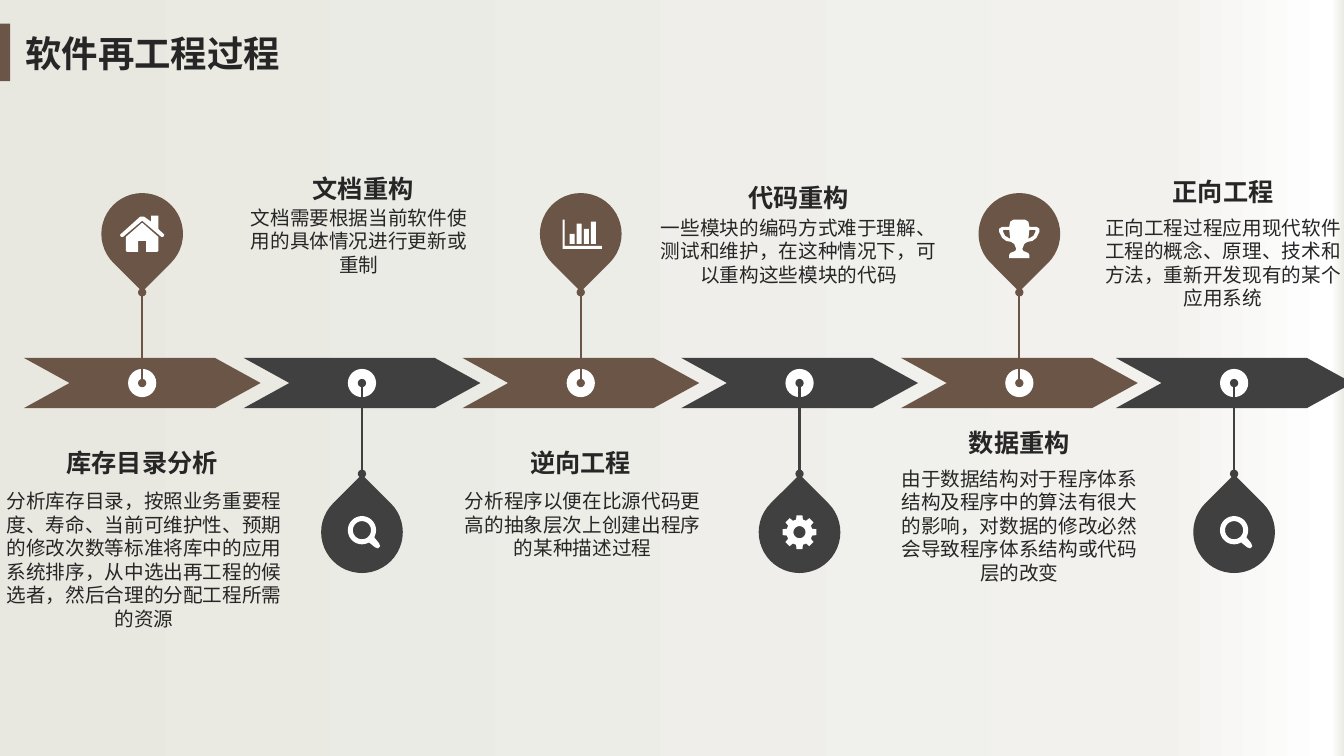
from math import cos, radians, sin

from lxml import etree
from pptx import Presentation
from pptx import util as u
from pptx.dml.color import RGBColor
from pptx.enum import shapes, text
from pptx.oxml.ns import qn

BROWN, DARK, WHITE, INK = "6A5546", "404040", "FFFFFF", "262626"
BACKDROP = [(0, "E8E8E1"), (86, "F2F1EE"), (99, "FFFFFF"), (100, "EBEBE5")]
ARROW_WIDTH, ARROW_HEIGHT, ARROW_MIDDLE = 2.35, 0.5, 3.8
DOT_SIZE, PIN_SIZE, LINE_HEIGHT = 0.28, 0.81, 0.235


def color(hex_code):
    return RGBColor.from_string(hex_code)


def write(box, words, size=14, bold=False, align=text.PP_ALIGN.CENTER, font="Noto Sans CJK SC"):
    frame = box.text_frame
    frame.word_wrap = True
    frame.vertical_anchor = text.MSO_ANCHOR.TOP
    para = frame.paragraphs[0]
    para.alignment = align
    span = para.add_run()
    span.text = words
    span.font.size, span.font.bold, span.font.name = u.Pt(size), bold, font
    span.font.color.rgb = color(INK)
    etree.SubElement(span.font._element, qn("a:ea"), typeface=font)


def arc(x, y, radius, start=0, end=360, step=10):
    return [(x + radius * cos(radians(a)), y + radius * sin(radians(a)))
            for a in range(start, end + 1, step)]


def mirror(points):
    return [(-x, y) for x, y in reversed(points)]


def block(left, top, right, bottom):
    return [(left, top), (right, top), (right, bottom), (left, bottom)]


def house():
    roof = [(0.21, 0.03), (0.19, 0.03), (0, -0.13), (-0.19, 0.03), (-0.21, 0.03),
            (-0.22, 0.01), (-0.02, -0.17), (0.02, -0.17), (0.09, -0.12), (0.09, -0.18),
            (0.16, -0.18), (0.16, -0.05), (0.22, 0.01)]
    half = [(0, -0.11), (0.16, 0.03), (0.16, 0.17), (0.15, 0.18), (0.04, 0.18), (0.04, 0.07)]
    return [roof, half + mirror(half)]


def bar_chart():
    axes = [(0.21, 0.15), (-0.18, 0.15), (-0.18, -0.14), (-0.16, -0.14), (-0.16, 0.12), (0.21, 0.12)]
    tops = [0, -0.1, -0.05, -0.12]
    return [axes] + [block(-0.11 + 0.07 * i, top, -0.06 + 0.07 * i, 0.1) for i, top in enumerate(tops)]


def trophy():
    half = [(0.06, -0.14), (0.09, -0.12), (0.1, -0.07), (0.17, -0.07), (0.2, -0.05),
            (0.2, -0.02), (0.17, 0.04), (0.13, 0.07), (0.08, 0.08), (0.05, 0.1),
            (0.03, 0.15), (0.04, 0.17), (0.09, 0.19), (0.1, 0.21), (0.1, 0.24)]
    handle = [(0.1, -0.04), (0.16, -0.04), (0.16, -0.02), (0.14, 0.02), (0.09, 0.05)]
    return [half + mirror(half), handle, mirror(handle)]


def gear():
    teeth = [(radius * cos(radians(a + turn)), radius * sin(radians(a + turn)))
             for a in range(0, 360, 45)
             for turn, radius in ((-15, 0.13), (-10, 0.17), (10, 0.17), (15, 0.13))]
    return [teeth, arc(0, 0, 0.06)]


def magnifier():
    grip = [(0.17, 0.11), (0.18, 0.14), (0.16, 0.16), (0.13, 0.15)]
    return [arc(0, -0.02, 0.14, 60, 390) + grip, arc(0, -0.02, 0.09)]


class Timeline:
    def __init__(self, deck):
        self.page = deck.slides.add_slide(deck.slide_layouts[5])
        self.items = self.page.shapes

    def backdrop(self, stops):
        fill = self.page.background.fill
        fill.gradient()
        fill.gradient_angle = 0
        stop_list = next(self.page._element.iter(qn("a:gsLst")))
        for old in list(stop_list):
            stop_list.remove(old)
        for percent, hex_code in stops:
            stop = etree.SubElement(stop_list, qn("a:gs"), pos=str(percent * 1000))
            etree.SubElement(stop, qn("a:srgbClr"), val=hex_code)

    def title(self, words):
        box = self.items.title
        box.left, box.top, box.width, box.height = map(u.Inches, (0.15, 0.26, 3.91, 0.54))
        write(box, words, size=26, bold=True, align=text.PP_ALIGN.LEFT)

    def paint(self, shape, fill):
        shape.shadow.inherit = False
        shape.fill.solid()
        shape.fill.fore_color.rgb = color(fill)
        shape.line.fill.background()

    def shape(self, kind, center, middle, width, height, fill):
        shape = self.items.add_shape(kind, u.Inches(center - width / 2), u.Inches(middle - height / 2),
                                     u.Inches(width), u.Inches(height))
        self.paint(shape, fill)
        return shape

    def arrow(self, center, fill):
        arrow = self.shape(shapes.MSO_SHAPE.NOTCHED_RIGHT_ARROW, center, ARROW_MIDDLE,
                           ARROW_WIDTH, ARROW_HEIGHT, fill)
        arrow.adjustments[0], arrow.adjustments[1] = 1, 0.91
        self.shape(shapes.MSO_SHAPE.OVAL, center, ARROW_MIDDLE, DOT_SIZE, DOT_SIZE, WHITE)

    def stem(self, center, start, fill):
        line = self.items.add_connector(shapes.MSO_CONNECTOR.STRAIGHT, u.Inches(center), u.Inches(start),
                                        u.Inches(center), u.Inches(ARROW_MIDDLE))
        line.line.width = u.Pt(1.5)
        line.line.color.rgb = color(fill)
        stroke = line.line._get_or_add_ln()
        for end in ("a:headEnd", "a:tailEnd"):
            etree.SubElement(stroke, qn(end), type="oval")
        etree.SubElement(line._element.spPr, qn("a:effectLst"))

    def pin(self, center, middle, turn, fill):
        pin = self.shape(shapes.MSO_SHAPE.TEAR, center, middle, PIN_SIZE, PIN_SIZE, fill)
        pin.rotation = turn

    def icon(self, center, middle, outlines):
        builder = None
        for outline in outlines:
            points = [(u.Inches(center + x), u.Inches(middle + y)) for x, y in outline]
            if builder is None:
                builder = self.items.build_freeform(*points[0], scale=1.0)
            else:
                builder.move_to(*points[0])
            builder.add_line_segments(points[1:], close=True)
        self.paint(builder.convert_to_shape(), WHITE)

    def label(self, words, center, top, width, height, **style):
        box = self.items.add_textbox(u.Inches(center - width / 2), u.Inches(top),
                                     u.Inches(width), u.Inches(height))
        frame = box.text_frame
        frame.margin_left = frame.margin_top = frame.margin_right = frame.margin_bottom = 0
        write(box, words, **style)


STAGES = [
    (1.41, house, "库存目录分析", 1.41, 4.44, 1.43, 4.85, 2.89, 6,
     "分析库存目录，按照业务重要程度、寿命、当前可维护性、预期的修改次数等标准将库中的应用系统排序，从中选出再工程的候选者，然后合理的分配工程所需的资源"),
    (3.59, magnifier, "文档重构", 3.6, 1.72, 3.56, 2.04, 2.17, 3,
     "文档需要根据当前软件使用的具体情况进行更新或重制"),
    (5.76, bar_chart, "逆向工程", 5.76, 4.44, 5.78, 4.85, 2.53, 3,
     "分析程序以便在比源代码更高的抽象层次上创建出程序的某种描述过程"),
    (7.93, gear, "代码重构", 7.92, 1.81, 7.92, 2.14, 2.79, 3,
     "一些模块的编码方式难于理解、测试和维护，在这种情况下，可以重构这些模块的代码"),
    (10.11, trophy, "数据重构", 10.11, 4.24, 10.11, 4.63, 2.35, 5,
     "由于数据结构对于程序体系结构及程序中的算法有很大的影响，对数据的修改必然会导致程序体系结构或代码层的改变"),
    (12.24, magnifier, "正向工程", 12.13, 1.75, 12.13, 2.14, 2.35, 4,
     "正向工程过程应用现代软件工程的概念、原理、技术和方法，重新开发现有的某个应用系统"),
]


def main():
    deck = Presentation()
    deck.slide_width, deck.slide_height = u.Inches(13.33), u.Inches(7.5)
    timeline = Timeline(deck)
    timeline.backdrop(BACKDROP)
    timeline.title("软件再工程过程")
    timeline.shape(shapes.MSO_SHAPE.RECTANGLE, 0.05, 0.52, 0.1, 0.57, BROWN)
    for i, (center, icon, heading, heading_x, heading_top, body_x, body_top, width, lines, body) in enumerate(STAGES):
        fill, pin_middle, turn, start = [(BROWN, 2.32, 135, 2.9), (DARK, 5.28, 315, 4.7)][i % 2]
        timeline.arrow(center, fill)
        timeline.stem(center, start, fill)
        timeline.pin(center, pin_middle, turn, fill)
        timeline.icon(center, pin_middle, icon())
        timeline.label(heading, heading_x, heading_top, 1.69, 0.3, size=18, bold=True)
        timeline.label(body, body_x, body_top, width, lines * LINE_HEIGHT)
    deck.save("out.pptx")


if __name__ == "__main__":
    main()
